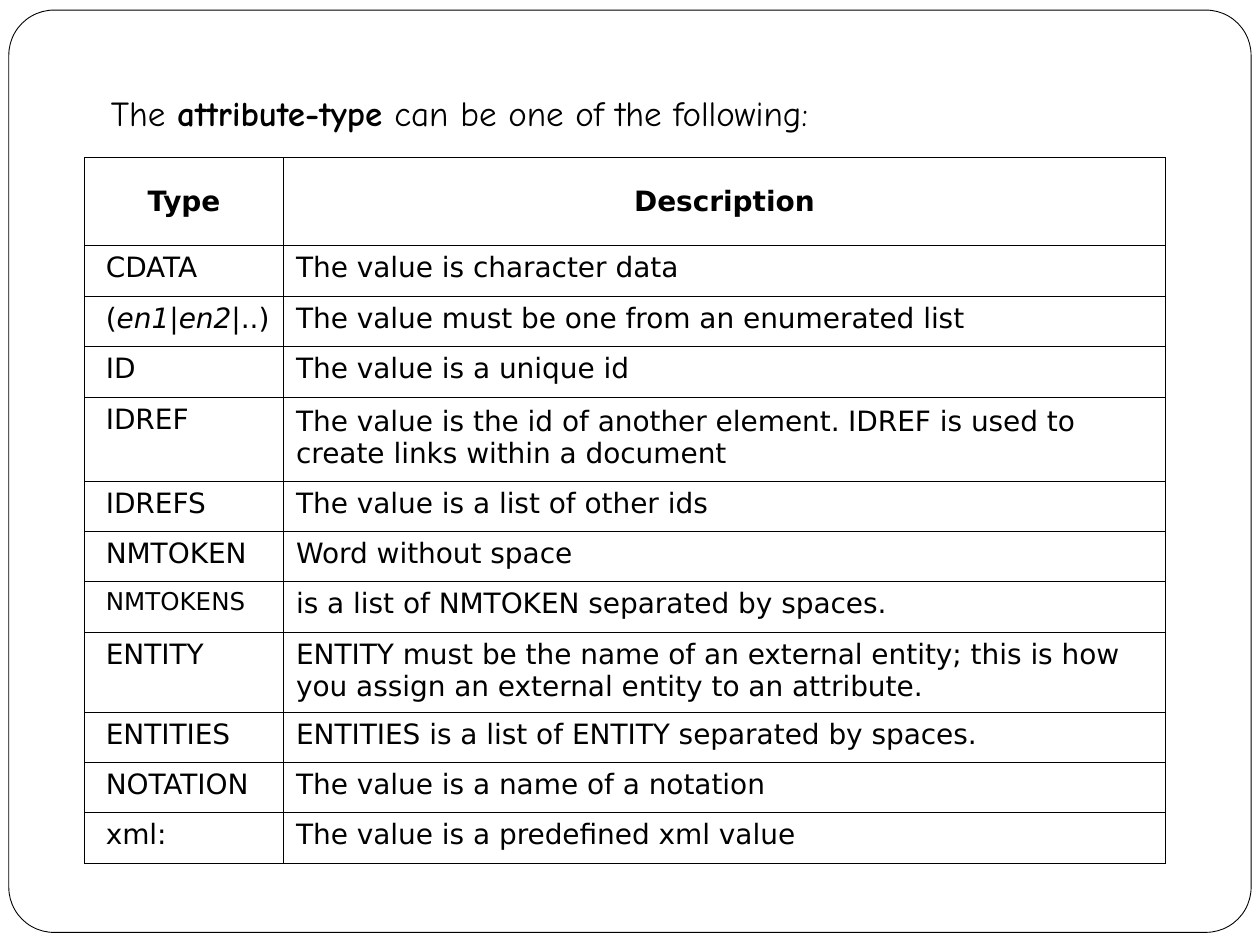
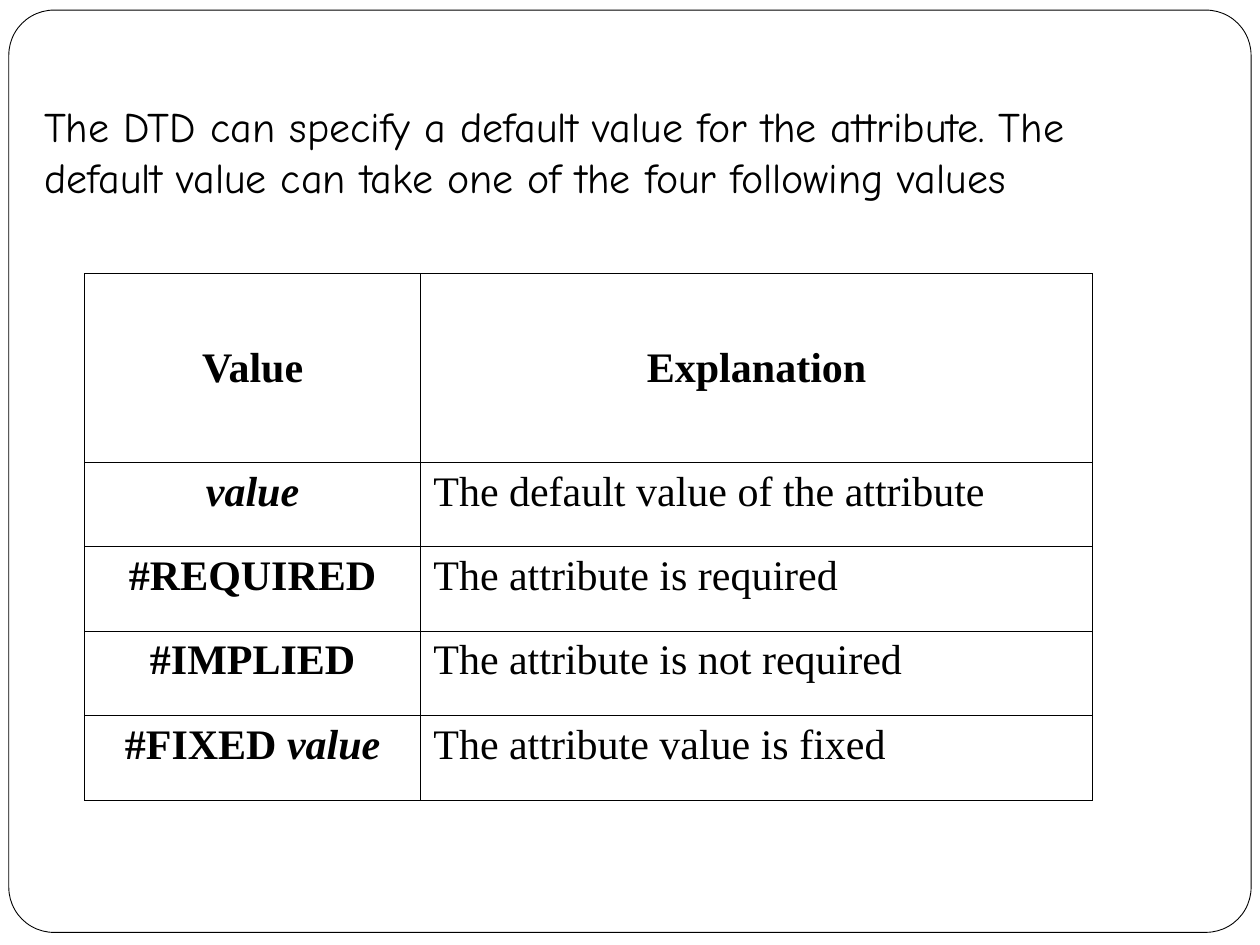
"""Build two slides on DTD attribute types and default values."""
from lxml import etree
from pptx import Presentation
from pptx.dml.color import RGBColor
from pptx.enum import shapes, text
from pptx.oxml import ns
from pptx.util import Inches, Pt

BLACK = RGBColor(0, 0, 0)
WHITE = RGBColor(255, 255, 255)
HAND, SANS, SERIF = "Comic Neue", "DejaVu Sans", "Times New Roman"
LEFT, CENTER = text.PP_ALIGN.LEFT, text.PP_ALIGN.CENTER
MIDDLE, TOP = text.MSO_ANCHOR.MIDDLE, text.MSO_ANCHOR.TOP
FRAME = (0.07, 0.08, 9.86, 7.32)

TYPES = [
    ("Type", "Description"),
    ("CDATA", "The value is character data"),
    ([("(", {}), ("en1", {"italic": True}), ("|", {}),
      ("en2", {"italic": True}), ("|..)", {})],
     "The value must be one from an enumerated list"),
    ("ID", "The value is a unique id"),
    ("IDREF", [("The value is the id of another element.", {}),
               (" ", {"name": SERIF, "size": Pt(18)}),
               ("IDREF is used to create links within a document", {})]),
    ("IDREFS", "The value is a list of other ids"),
    ("NMTOKEN", "Word without space"),
    ([("NMTOKENS", {"size": Pt(14)})],
     "is a list of NMTOKEN separated by spaces."),
    ("ENTITY", "ENTITY must be the name of an external entity; this is how "
               "you assign an external entity to an attribute."),
    ("ENTITIES", "ENTITIES is a list of ENTITY separated by spaces."),
    ("NOTATION", "The value is a name of a notation"),
    ("xml:", "The value is a predefined xml value"),
]
VALUES = [
    ("Value", "Explanation"),
    ([("value", {"italic": True})], "The default value of the attribute"),
    ("#REQUIRED", "The attribute is required"),
    ("#IMPLIED", "The attribute is not required"),
    ([("#FIXED ", {}), ("value", {"italic": True})],
     "The attribute value is fixed"),
]
SLIDES = [
    {"title": [("The ", {}), ("attribute-type", {"bold": True}),
               (" can be one of the following:", {})],
     "box": (0.78, 0.67, 5.75, 0.44), "size": 20, "wrap": False,
     "anchor": MIDDLE, "rows": TYPES, "top": 1.25, "cols": (1.58, 7),
     "head": 0.7, "row": 0.4, "tall": {4: 0.57, 8: 0.53},
     "font": SANS, "pt": 16, "keys": LEFT, "bold": False, "pad": 0.17},
    {"title": "The DTD can specify a default value for the attribute. The "
              "default value can take one of the four following values",
     "box": (0.25, 0.75, 9.33, 0.9), "size": 24, "wrap": True,
     "anchor": TOP, "rows": VALUES, "top": 2.17, "cols": (2.67, 5.33),
     "head": 1.5, "row": 0.67, "tall": {},
     "font": SERIF, "pt": 24, "keys": CENTER, "bold": True, "pad": 0.1},
]


def write(frame, words, name, size, bold=False, align=LEFT):
    """Fill a text frame with a string or a list of styled runs."""
    para = frame.paragraphs[0]
    para.alignment = align
    runs = [(words, {})] if isinstance(words, str) else words
    for part, style in runs:
        run = para.add_run()
        run.text = part
        run.font.color.rgb = BLACK
        look = {"name": name, "size": Pt(size), "bold": bold, **style}
        for key, value in look.items():
            setattr(run.font, key, value)


def edge(cell):
    """Draw thin black borders round a cell."""
    props = cell._tc.get_or_add_tcPr()
    for spot, side in enumerate(("lnL", "lnR", "lnT", "lnB")):
        line = etree.Element(ns.qn("a:" + side), w=str(Pt(0.45)))
        fill = etree.SubElement(line, ns.qn("a:solidFill"))
        etree.SubElement(fill, ns.qn("a:srgbClr"), val=str(BLACK))
        props.insert(spot, line)


def border(deck, slide):
    """Draw the rounded frame and move it to the slide master."""
    shape = slide.shapes.add_shape(
        shapes.MSO_SHAPE.ROUNDED_RECTANGLE, *map(Inches, FRAME))
    shape.adjustments[0] = 0.049
    shape.shadow.inherit = False
    shape.fill.solid()
    shape.fill.fore_color.rgb = WHITE
    shape.line.color.rgb = BLACK
    shape.line.width = Pt(0.5)
    shape.element.nvSpPr.cNvPr.set("id", "50")
    deck.slide_master.shapes.element.insert(2, shape.element)


def head(slide, page):
    """Place and write the title."""
    title = slide.shapes.title
    title.left, title.top, title.width, title.height = map(Inches, page["box"])
    frame = title.text_frame
    frame.word_wrap = page["wrap"]
    frame.auto_size = text.MSO_AUTO_SIZE.SHAPE_TO_FIT_TEXT
    frame.vertical_anchor = page["anchor"]
    write(frame, page["title"], HAND, page["size"])


def grid(slide, page):
    """Add the two-column table."""
    rows, cols = page["rows"], page["cols"]
    highs = [page["head"]] + [page["tall"].get(i, page["row"])
                              for i in range(1, len(rows))]
    table = slide.shapes.add_table(
        len(rows), len(cols), Inches(0.67), Inches(page["top"]),
        Inches(sum(cols)), Inches(sum(highs))).table
    table.first_row = table.horz_banding = False
    for col, wide in zip(table.columns, cols):
        col.width = Inches(wide)
    for i, (row, high) in enumerate(zip(rows, highs)):
        table.rows[i].height = Inches(high)
        for j, words in enumerate(row):
            cell = table.cell(i, j)
            cell.vertical_anchor = TOP if i else MIDDLE
            if i:
                cell.fill.solid()
                cell.fill.fore_color.rgb = WHITE
            else:
                cell.fill.background()
            if i and not j:
                cell.margin_left = Inches(page["pad"])
                cell.margin_right = Inches(0.05)if page["keys"] == LEFT else Inches(0.1)
            bold = not i or (not j and page["bold"])
            align = CENTER if not i else LEFT if j else page["keys"]
            write(cell.text_frame, words, page["font"], page["pt"], bold, align)
            edge(cell)


def main():
    """Build and save the deck."""
    deck = Presentation()
    deck.slide_width, deck.slide_height = Inches(10), Inches(7.5)
    for i, page in enumerate(SLIDES):
        slide = deck.slides.add_slide(deck.slide_layouts[5])
        if not i:
            border(deck, slide)
        head(slide, page)
        grid(slide, page)
    deck.save("out.pptx")


if __name__ == "__main__":
    main()
